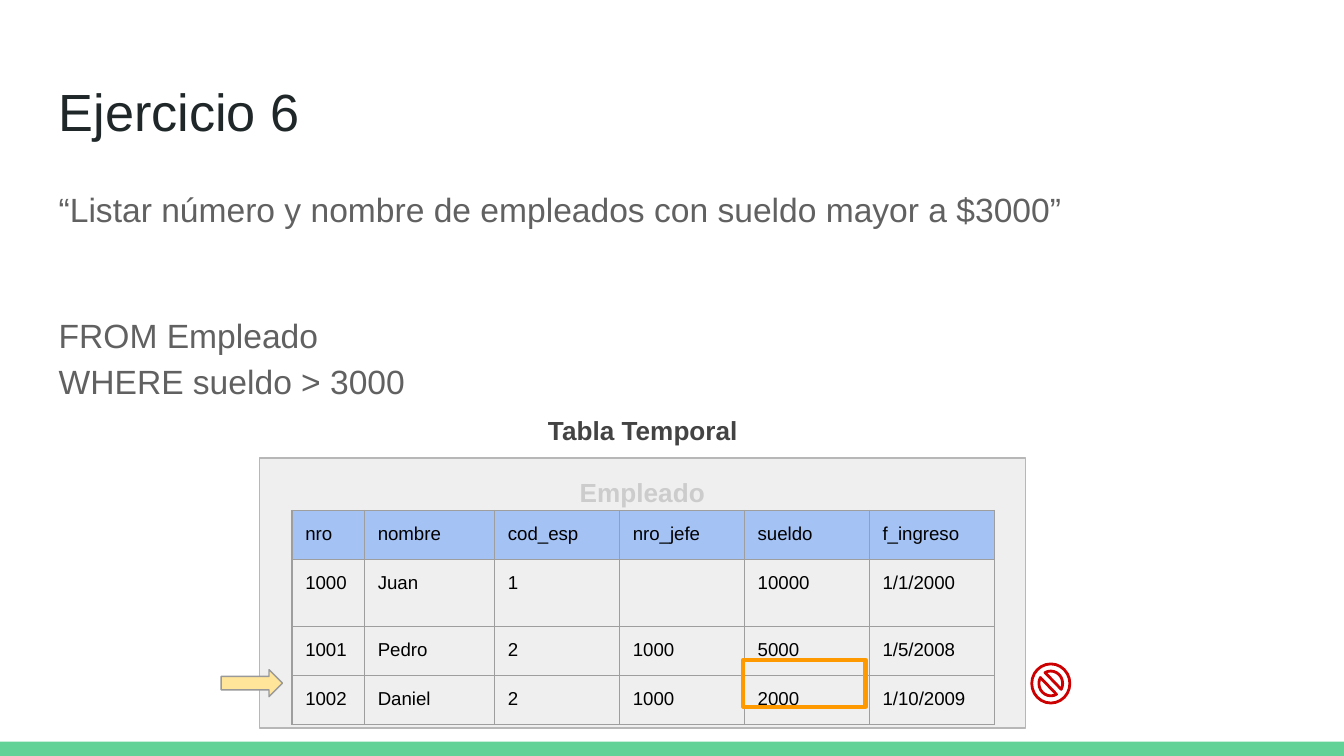
import pptx
import pptx.util
import pptx.dml.color
import pptx.enum.shapes
import pptx.enum.text
import pptx.oxml
import pptx.oxml.ns

Cm, Pt = pptx.util.Cm, pptx.util.Pt
SHAPE = pptx.enum.shapes.MSO_SHAPE
ALIGN = pptx.enum.text.PP_ALIGN

COLORS = {
    "bar": "63D297", "title": "202729", "body": "616161", "caption": "434343",
    "panel": "EFEFEF", "panel_line": "B7B7B7", "panel_text": "CCCCCC",
    "header": "A4C2F4", "grid": "9E9E9E", "cell_text": "000000",
    "arrow": "FFE599", "arrow_line": "999999",
    "highlight": "FF9900", "reject": "CC0000",
}


class SlideBuilder:
    font = "Arial"
    inset = Cm(0.25)

    def __init__(self, slide):
        self.s = slide

    def color(self, name):
        return pptx.dml.color.RGBColor.from_string(COLORS[name])

    def fill_text(self, tf, text, size, color, bold=False, align=ALIGN.LEFT, spacing=None):
        tf.word_wrap = True
        tf.vertical_anchor = pptx.enum.text.MSO_ANCHOR.TOP
        tf.margin_left = tf.margin_right = self.inset
        tf.margin_top = tf.margin_bottom = self.inset
        tf.text = text
        for p in tf.paragraphs:
            p.alignment = align
            p.line_spacing = spacing
            for r in p.runs:
                r.font.name = self.font
                r.font.size = Pt(size)
                r.font.bold = bold
                r.font.color.rgb = self.color(color)

    def text(self, x, y, w, h, text, size, color, **style):
        sp = self.s.shapes.add_textbox(Cm(x), Cm(y), Cm(w), Cm(h))
        self.fill_text(sp.text_frame, text, size, color, **style)

    def shape(self, kind, x, y, w, h, fill=None, line=None, width=0.75):
        sp = self.s.shapes.add_shape(kind, Cm(x), Cm(y), Cm(w), Cm(h))
        sp.shadow.inherit = False
        if fill:
            sp.fill.solid()
            sp.fill.fore_color.rgb = self.color(fill)
        else:
            sp.fill.background()
        if line:
            sp.line.color.rgb = self.color(line)
            sp.line.width = Pt(width)
        else:
            sp.line.fill.background()
        return sp

    def borders(self, cell, color, width):
        tcPr = cell._tc.get_or_add_tcPr()
        for i, side in enumerate(("lnL", "lnR", "lnT", "lnB")):
            tcPr.insert(i, pptx.oxml.parse_xml(
                f'<a:{side} {pptx.oxml.ns.nsdecls("a")} w="{Pt(width)}"><a:solidFill>'
                f'<a:srgbClr val="{COLORS[color]}"/></a:solidFill></a:{side}>'))

    def table(self, x, y, widths, heights, rows):
        tbl = self.s.shapes.add_table(len(rows), len(widths), Cm(x), Cm(y),
                                      Cm(sum(widths)), Cm(sum(heights))).table
        for column, w in zip(tbl.columns, widths):
            column.width = Cm(w)
        for row, h in zip(tbl.rows, heights):
            row.height = Cm(h)
        for i, values in enumerate(rows):
            for j, value in enumerate(values):
                cell = tbl.cell(i, j)
                cell.margin_left = cell.margin_right = self.inset
                cell.margin_top = cell.margin_bottom = self.inset
                if i == 0:
                    cell.fill.solid()
                    cell.fill.fore_color.rgb = self.color("header")
                else:
                    cell.fill.background()
                if value:
                    cell.text_frame.text = value
                    r = cell.text_frame.paragraphs[0].runs[0]
                    r.font.name = self.font
                    r.font.size = Pt(10)
                    r.font.bold = False
                    r.font.color.rgb = self.color("cell_text")
                self.borders(cell, "grid", 0.75)


def main():
    prs = pptx.Presentation()
    prs.slide_width, prs.slide_height = Cm(25.4), Cm(14.29)
    b = SlideBuilder(prs.slides.add_slide(prs.slide_layouts[6]))

    # Footer bar and table panel
    b.shape(SHAPE.RECTANGLE, 0, 14.02, 25.4, 0.27, "bar")
    panel = b.shape(SHAPE.RECTANGLE, 4.9, 8.66, 14.48, 5.1, "panel", "panel_line")
    b.fill_text(panel.text_frame, "Empleado", 14, "panel_text", bold=True,
                align=ALIGN.CENTER, spacing=1.15)

    # Title, request and query
    b.text(0.86, 1.24, 23.67, 1.6, "Ejercicio 6", 28, "title")
    b.text(0.86, 3.2, 23.67, 1.4,
           "“Listar número y nombre de empleados con sueldo mayor a $3000”",
           18, "body", spacing=1.15)
    b.text(0.86, 5.58, 23.67, 2, "FROM Empleado\nWHERE sueldo > 3000",
           18, "body", spacing=1.15)

    # Employee table; the row with the missing manager is taller
    b.table(5.52, 9.65, [1.37, 2.46] + [2.36] * 4, [0.89, 1.22, 0.89, 0.89], [
        ["nro", "nombre", "cod_esp", "nro_jefe", "sueldo", "f_ingreso"],
        ["1000", "Juan", "1", "", "10000", "1/1/2000"],
        ["1001", "Pedro", "2", "1000", "5000", "1/5/2008"],
        ["1002", "Daniel", "2", "1000", "2000", "1/10/2009"],
    ])
    b.text(9.65, 7.49, 5, 1.07, "Tabla Temporal", 14, "caption", bold=True,
           align=ALIGN.CENTER, spacing=1.15)

    # Current row, compared value and rejection mark
    b.shape(SHAPE.RIGHT_ARROW, 4.18, 12.66, 1.16, 0.51, "arrow", "arrow_line")
    b.shape(SHAPE.RECTANGLE, 14.05, 12.47, 2.31, 0.89, line="highlight", width=2.25)
    mark = b.shape(SHAPE.NO_SYMBOL, 19.5, 12.55, 0.72, 0.74, line="reject", width=1.5)
    mark.adjustments[0] = 0.188

    prs.save("out.pptx")


if __name__ == "__main__":
    main()
